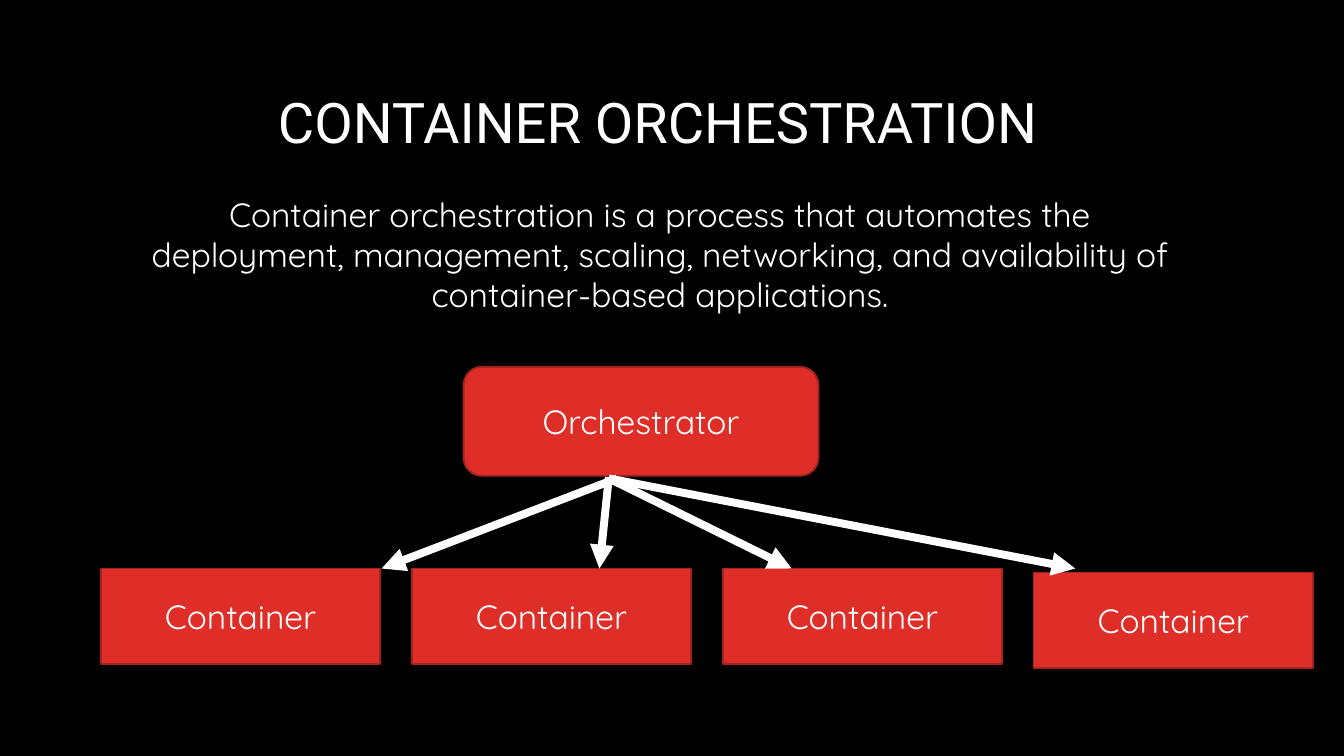
from lxml import etree
from pptx import Presentation
from pptx.dml.color import RGBColor
from pptx.enum.shapes import MSO_CONNECTOR, MSO_SHAPE
from pptx.enum.text import MSO_ANCHOR, PP_ALIGN
from pptx.oxml.ns import qn
from pptx.util import Inches, Pt

ROUNDED, RECTANGLE = MSO_SHAPE.ROUNDED_RECTANGLE, MSO_SHAPE.RECTANGLE
STRAIGHT = MSO_CONNECTOR.STRAIGHT
TOP, MIDDLE = MSO_ANCHOR.TOP, MSO_ANCHOR.MIDDLE
CENTER, RIGHT = PP_ALIGN.CENTER, PP_ALIGN.RIGHT

COLORS = {"background": "000000", "text": "FFFFFF", "node": "DF2E28", "edge": "A5221E"}
HEADING_FONT, BODY_FONT = "Roboto", "Quicksand"
SLIDE_WIDTH = 10
SLIDE_HEIGHT = SLIDE_WIDTH * 9 / 16

TITLE_BOX = (1.71, 0.63, 6.11, 0.6)
DEFINITION_BOX = (1, 1.39, 7.82, 1.01)
DIAGRAM_BOX = (0.75, 2.73, 9.02, 2.24)

CONTAINER_COUNT = 4
CONTAINER_WIDTH, CONTAINER_HEIGHT = 2.08, 0.71
CONTAINER_ROW = 1.5
LAST_DROP = 0.03
ARROW_STARTS = [(3.84, 0.83), (3.78, 0.82), (3.78, 0.83), (3.78, 0.83)]
ARROW_ENDS = [2.09, 3.71, 5.14, 7.25]


def color(name):
    return RGBColor.from_string(COLORS[name])


def write(frame, text, size=18, font=BODY_FONT, align=CENTER, anchor=MIDDLE):
    frame.word_wrap = True
    frame.vertical_anchor = anchor
    paragraph = frame.paragraphs[0]
    paragraph.alignment = align
    run = paragraph.add_run()
    run.text = text
    run.font.size = Pt(size)
    run.font.name = font
    run.font.color.rgb = color("text")
    return paragraph


def add_title(slide, box):
    frame = slide.shapes.add_textbox(*map(Inches, box)).text_frame
    frame.margin_left = 0
    paragraph = write(frame, "CONTAINER ORCHESTRATION", 30, HEADING_FONT, RIGHT)
    paragraph.line_spacing = 0.9


def add_definition(slide, box):
    frame = slide.shapes.add_textbox(*map(Inches, box)).text_frame
    write(
        frame,
        "Container orchestration is a process that automates the deployment, "
        "management, scaling, networking, and availability of "
        "container-based applications.",
        anchor=TOP,
    )


def add_node(slide, kind, box, text):
    shape = slide.shapes.add_shape(kind, *map(Inches, box))
    shape.shadow.inherit = False
    shape.fill.solid()
    shape.fill.fore_color.rgb = color("node")
    shape.line.color.rgb = color("edge")
    shape.line.width = Pt(1)
    write(shape.text_frame, text)


def add_arrow(slide, start, end):
    connector = slide.shapes.add_connector(STRAIGHT, *map(Inches, start + end))
    connector.line.color.rgb = color("text")
    connector.line.width = Pt(4.25)
    properties = connector._element.spPr
    etree.SubElement(properties.get_or_add_ln(), qn("a:tailEnd"), type="triangle")
    etree.SubElement(properties, qn("a:effectLst"))


def add_diagram(slide, box):
    left, top, width, height = box
    add_node(slide, ROUNDED, (left + 2.7, top, 2.64, 0.81), "Orchestrator")
    step = (width - CONTAINER_WIDTH) / (CONTAINER_COUNT - 1)
    row_top = top + CONTAINER_ROW
    for index in range(CONTAINER_COUNT):
        drop = LAST_DROP if index == CONTAINER_COUNT - 1 else 0
        container = (left + index * step, row_top + drop, CONTAINER_WIDTH, CONTAINER_HEIGHT)
        add_node(slide, RECTANGLE, container, "Container")
    for (start_x, start_y), end_x in zip(ARROW_STARTS, ARROW_ENDS):
        add_arrow(slide, (left + start_x, top + start_y), (left + end_x, row_top))


def main():
    presentation = Presentation()
    presentation.slide_width = Inches(SLIDE_WIDTH)
    presentation.slide_height = Inches(SLIDE_HEIGHT)
    slide = presentation.slides.add_slide(presentation.slide_layouts[6])
    slide.background.fill.solid()
    slide.background.fill.fore_color.rgb = color("background")
    add_title(slide, TITLE_BOX)
    add_definition(slide, DEFINITION_BOX)
    add_diagram(slide, DIAGRAM_BOX)
    presentation.save("out.pptx")


if __name__ == "__main__":
    main()
